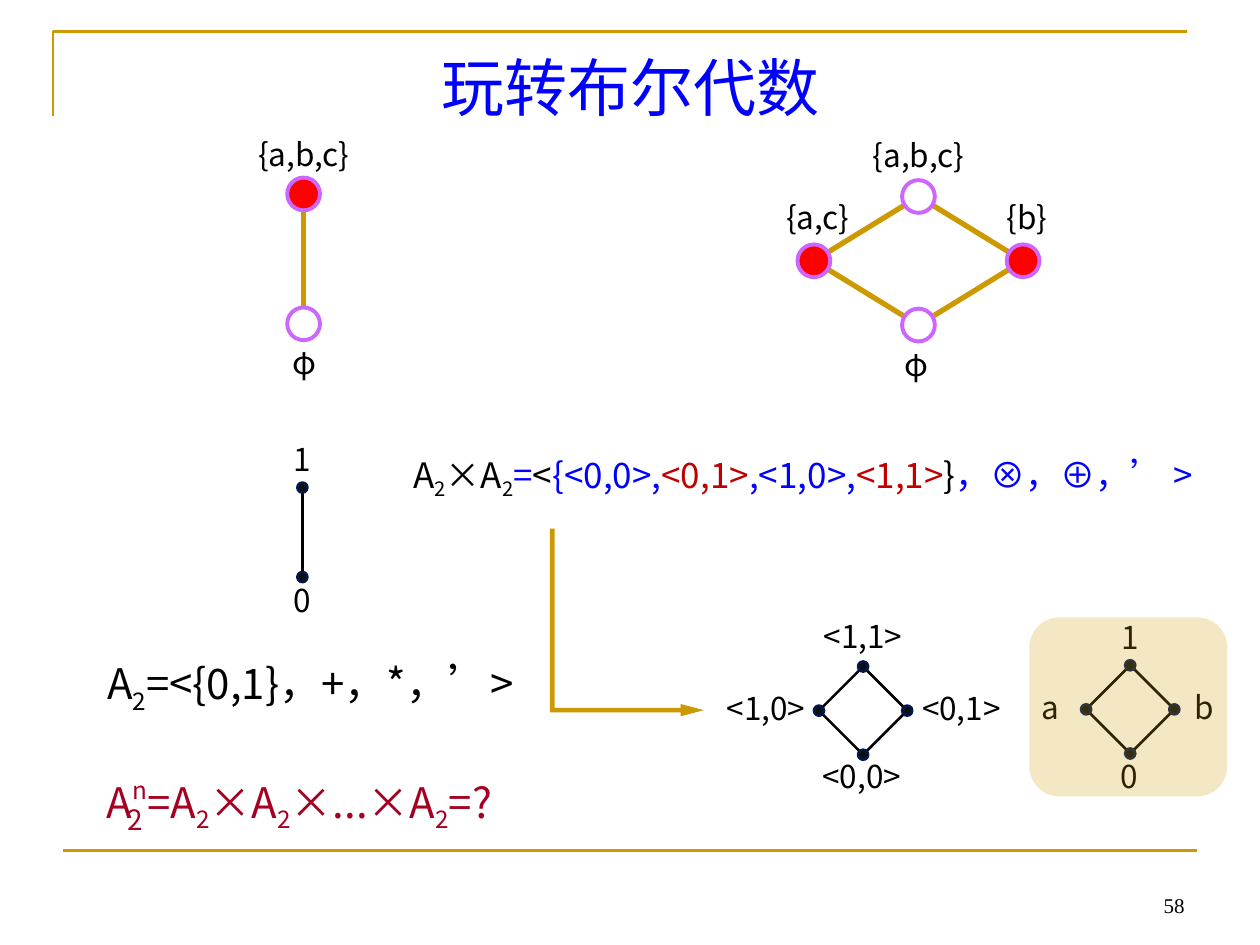
from pptx import Presentation
from pptx.dml.color import RGBColor
from pptx.enum.shapes import MSO_CONNECTOR, MSO_SHAPE
from pptx.enum.text import MSO_ANCHOR, MSO_AUTO_SIZE, PP_ALIGN
from pptx.oxml.ns import qn
from pptx.util import Inches, Pt
from lxml.etree import SubElement

FONT = "Noto Sans CJK SC"
COLORS = {"black": "000000", "white": "FFFFFF", "gold": "CC9900",
          "blue": "0000FF", "red": "FF0000", "brick": "C00000",
          "wine": "A50021", "violet": "CC66FF", "dot": "0D0D0D",
          "navy": "00194C"}

# Runs: text, color, baseline shift in percent
TITLE = [("玩转布尔代数", "blue", 0)]
ALGEBRA = [("A", "black", 0), ("2", "black", -25),
           ("=<{0,1}，+，*，’>", "black", 0)]
PRODUCT = [("A", "black", 0), ("2", "black", -25), ("×A", "black", 0),
           ("2", "black", -25), ("=", "blue", 0), ("<", "black", 0),
           ("{<0,0>,", "blue", 0), ("<0,1>", "brick", 0),
           (",<1,0>,", "blue", 0), ("<1,1>", "brick", 0),
           ("}", "black", 0), ("，⊗，⊕，’ >", "blue", 0)]
POWER = [("A", "wine", 0), ("n", "wine", 44), ("=A", "wine", 0),
         ("2", "wine", -25), ("×A", "wine", 0), ("2", "wine", -25),
         ("×...×A", "wine", 0), ("2", "wine", -25), ("=?", "wine", 0)]

# Nodes: x, y, fill; labels: text, center x, top; edges: pairs of nodes
RING = {"size": 0.26, "edge": "gold", "width": 3, "rim": "violet", "rim_width": 2.25}
DOT = {"size": 0.08, "edge": "black", "width": 1.5, "rim": "navy", "rim_width": 1.5}
CHAIN = [(0, 1)]
SQUARE = [(0, 1), (0, 2), (1, 3), (2, 3)]


def square(x, y, dx, dy, fills):
    """Return the top, left, right and bottom nodes around a center."""
    spots = [(x, y - dy), (x - dx, y), (x + dx, y), (x, y + dy)]
    return [(*spot, fill) for spot, fill in zip(spots, fills)]


DIAGRAMS = [
    (RING, square(7.29, 2.07, 0.83, 0.51, ["white", "red", "red", "white"]), SQUARE,
     [("{a,b,c}", 7.29, 1.03), ("{a,c}", 6.49, 1.52), ("{b}", 8.15, 1.52),
      ("φ", 7.27, 2.69)]),
    (RING, [(2.41, 1.54, "red"), (2.41, 2.57, "white")], CHAIN,
     [("{a,b,c}", 2.41, 1.02), ("φ", 2.42, 2.67)]),
    (DOT, [(2.4, 3.87, "dot"), (2.4, 4.58, "dot")], CHAIN,
     [("1", 2.4, 3.44), ("0", 2.4, 4.56)]),
    (DOT, square(6.85, 5.64, 0.35, 0.35, ["dot"] * 4), SQUARE,
     [("<1,1>", 6.85, 4.85), ("<1,0>", 6.08, 5.42), ("<0,1>", 7.63, 5.42),
      ("<0,0>", 6.84, 5.96)]),
    (DOT, square(8.97, 5.63, 0.35, 0.35, ["dot"] * 4), SQUARE,
     [("1", 8.97, 4.86), ("a", 8.34, 5.41), ("b", 9.56, 5.41), ("0", 8.96, 5.96)]),
]


def rgb(name):
    return RGBColor.from_string(COLORS[name])


def write(shape, runs, size, align=PP_ALIGN.LEFT, anchor=MSO_ANCHOR.TOP, font=FONT):
    frame = shape.text_frame
    frame.word_wrap = True
    frame.auto_size = MSO_AUTO_SIZE.NONE
    frame.vertical_anchor = anchor
    para = frame.paragraphs[0]
    para.alignment = align
    for text, color, shift in runs:
        run = para.add_run()
        run.text = text
        run.font.size = Pt(size)
        run.font.name = font
        run.font.color.rgb = rgb(color)
        props = run.font._element
        SubElement(props, qn("a:ea")).set("typeface", font)
        if shift:
            props.set("baseline", str(shift * 1000))
    return para


def add_text(shapes, box, *args, **kwargs):
    write(shapes.add_textbox(*map(Inches, box)), *args, **kwargs)


def add_line(shapes, start, end, color, width):
    line = shapes.add_connector(MSO_CONNECTOR.STRAIGHT,
                                *map(Inches, (*start, *end)))
    line.line.color.rgb = rgb(color)
    line.line.width = Pt(width)
    SubElement(line._element.spPr, qn("a:effectLst"))


def add_solid(shapes, kind, box, fill):
    shape = shapes.add_shape(kind, *map(Inches, box))
    shape.shadow.inherit = False
    shape.fill.solid()
    shape.fill.fore_color.rgb = rgb(fill)
    shape.line.fill.background()
    return shape


def add_diagram(slide, style, nodes, edges, labels):
    shapes = slide.shapes.add_group_shape().shapes
    for text, x, y in labels:
        add_text(shapes, (x - 0.56, y, 1.12, 0.4), [(text, "black", 0)], 18,
                 PP_ALIGN.CENTER)
    for a, b in edges:
        add_line(shapes, nodes[a][:2], nodes[b][:2], style["edge"], style["width"])
    size = style["size"]
    for x, y, fill in nodes:
        node = add_solid(shapes, MSO_SHAPE.OVAL,
                         (x - size / 2, y - size / 2, size, size), fill)
        node.line.color.rgb = rgb(style["rim"])
        node.line.width = Pt(style["rim_width"])
    return shapes


def place(shape, box):
    shape.left, shape.top, shape.width, shape.height = map(Inches, box)


def main():
    deck = Presentation()
    deck.slide_width, deck.slide_height = Inches(10), Inches(7.5)
    slide = deck.slides.add_slide(deck.slide_layouts[1])
    shapes = slide.shapes
    title, body = slide.placeholders

    place(title, (0.5, 0.3, 9, 0.77))
    write(title, TITLE, 36, PP_ALIGN.CENTER, MSO_ANCHOR.MIDDLE)
    place(body, (0.75, 5.17, 3.62, 0.63))
    props = write(body, ALGEBRA, 24)._p.get_or_add_pPr()
    props.set("marL", str(Inches(0.38)))
    props.set("indent", str(-Inches(0.38)))
    SubElement(props, qn("a:buNone"))

    path = shapes.build_freeform(Inches(0.42), Inches(0.92))
    path.add_line_segments([(Inches(0.42), Inches(0.25)),
                            (Inches(9.42), Inches(0.25))], close=False)
    corner = path.convert_to_shape()
    corner.shadow.inherit = False
    corner.fill.background()
    corner.line.color.rgb = rgb("gold")
    corner.line.width = Pt(1.5)
    add_line(shapes, (0.5, 6.75), (9.5, 6.75), "gold", 1.5)
    add_text(shapes, (8.7, 6.83, 0.8, 0.5), [("58", "black", 0)], 12,
             PP_ALIGN.RIGHT, MSO_ANCHOR.BOTTOM, "Times New Roman")

    for diagram in DIAGRAMS:
        group = add_diagram(slide, *diagram)
    panel = add_solid(group, MSO_SHAPE.ROUNDED_RECTANGLE, (8.17, 4.9, 1.57, 1.42), "gold")
    tint = panel._element.spPr.find(qn("a:solidFill"))[0]
    SubElement(tint, qn("a:alpha")).set("val", "23000")

    add_text(shapes, (3.03, 3.51, 6.69, 0.55), PRODUCT, 20,
             PP_ALIGN.CENTER, MSO_ANCHOR.MIDDLE)
    arrow = add_solid(shapes, MSO_SHAPE.BENT_UP_ARROW, (4.23, 4.33, 1.49, 1.22), "gold")
    arrow.rotation = 90
    for i, value in enumerate((0.03, 0.04, 0.15)):
        arrow.adjustments[i] = value

    power = shapes.add_group_shape().shapes
    add_text(power, (0.75, 6.11, 3.62, 0.55), POWER, 24, anchor=MSO_ANCHOR.MIDDLE)
    add_text(power, (0.91, 6.35, 0.31, 0.31), [("2", "wine", 0)], 16,
             anchor=MSO_ANCHOR.MIDDLE)
    deck.save("out.pptx")


if __name__ == "__main__":
    main()
